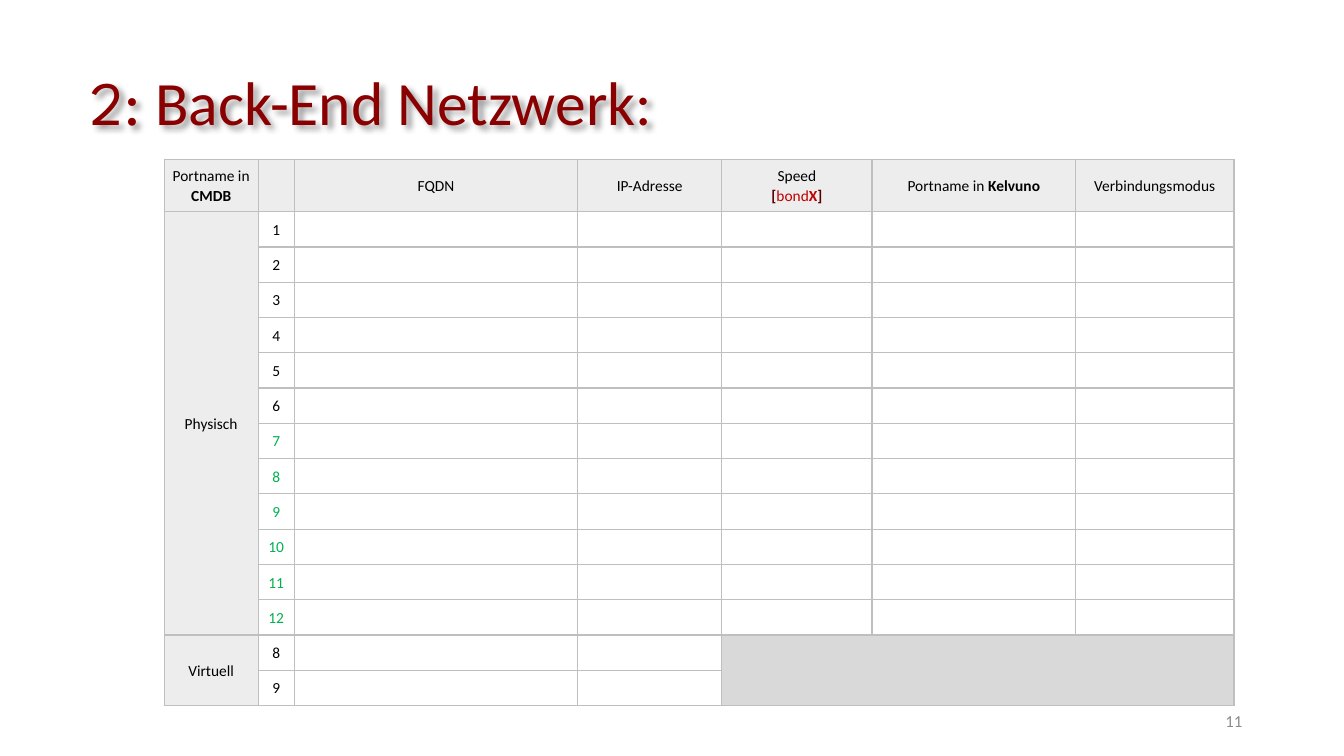
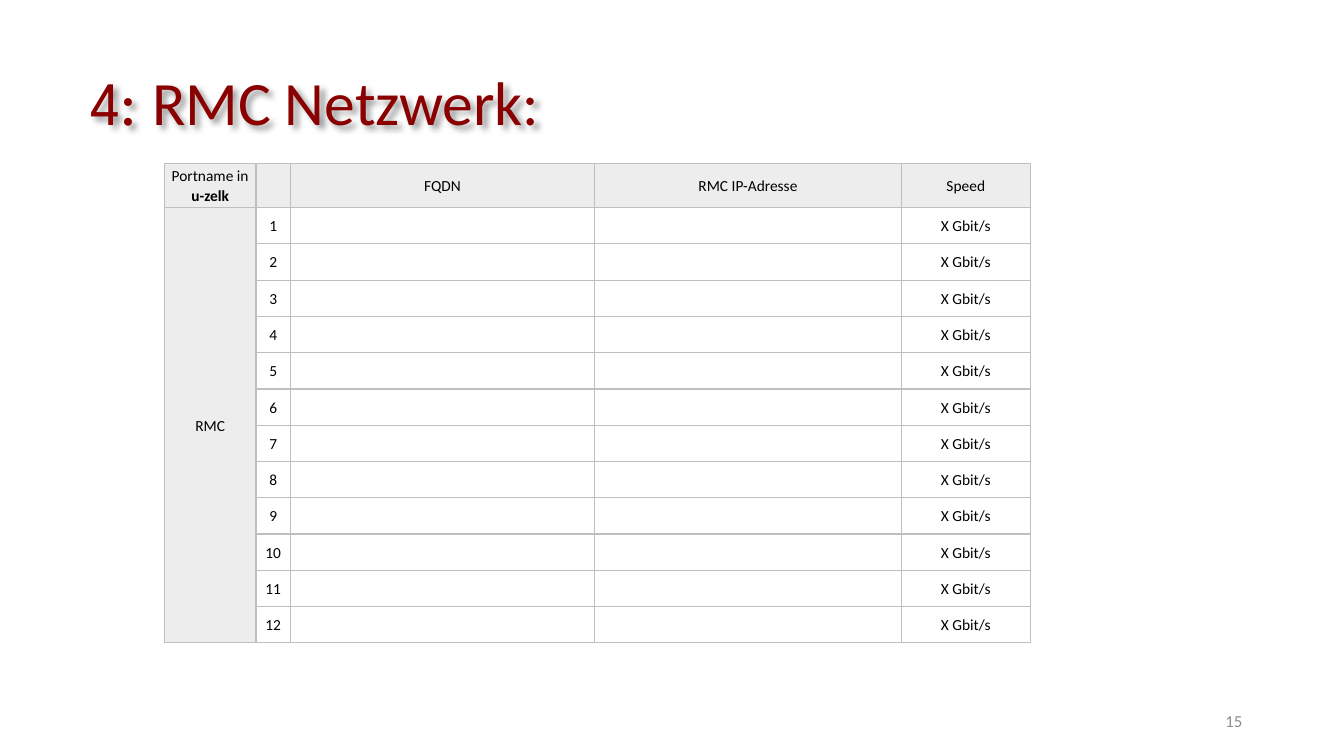
from pptx import Presentation
from pptx.dml.color import RGBColor
from pptx.enum.text import MSO_ANCHOR, PP_ALIGN
from pptx.oxml import parse_xml
from pptx.oxml.ns import nsdecls
from pptx.util import Inches, Pt

LEFT, CENTER, RIGHT = PP_ALIGN.LEFT, PP_ALIGN.CENTER, PP_ALIGN.RIGHT
MIDDLE = MSO_ANCHOR.MIDDLE
TITLE_ONLY = 5

THEME = {
    "title": {"size": 44, "name": "Calibri", "color": "8A0000"},
    "number": {"size": 12, "name": "Calibri", "color": "8C8C8C"},
    "cell": {"size": 11, "name": "Calibri", "color": "000000"},
    "index_font": "League Spartan",
    "head_fill": "EDEDED", "blocked_fill": "D9D9D9", "border": "BFBFBF",
    "border_width": 1, "line_spacing": 1.07,
}
SLIDE_SIZE = (13.33, 7.5)
TITLE_BOX = (0.8, 0.58, 11.77, 0.84)
NUMBER_BOX = (9.42, 6.95, 3, 0.4)
TABLE_LEFT = 1.63

# Content: a cell is a list of paragraphs, a paragraph a list of (text, changes)
BOLD = {"bold": True}
BRACKET = {"bold": True, "color": "540000"}
BOND = {"color": "C00000"}
SPARE = {"color": "00B050"}


def plain(text, **changes):
    return [[(text, changes)]]


SPEED_BOND = [[("Speed", {})],
              [("[", BRACKET), ("bond", BOND), ("X", BOND | BOLD), ("]", BRACKET)]]

NETWORKS = [
    {
        "index": "2: ", "title": "Back-End Netzwerk:", "number": "11",
        "top": 1.58, "head_row": 0.52, "port_row": 0.35,
        "columns": [0.93, 0.36, 2.81, 1.43, 1.49, 2.02, 1.57],
        "head": [[[("Portname in ", {}), ("CMDB", BOLD)]], None, plain("FQDN"),
                 plain("IP-Adresse"), SPEED_BOND,
                 [[("Portname in ", {}), ("Kelvuno", BOLD)]],
                 plain("Verbindungsmodus")],
        "groups": [
            {"name": "Physisch", "ports": range(1, 13), "spare_from": 7},
            {"name": "Virtuell", "ports": range(8, 10), "blocked_from": 4},
        ],
    },
    {
        "index": "4: ", "title": "RMC Netzwerk:", "number": "15",
        "top": 1.62, "head_row": 0.44, "port_row": 0.36,
        "columns": [0.91, 0.34, 3.02, 3.04, 1.28],
        "head": [[[("Portname in ", {}), ("u-zelk", BOLD)]], None, plain("FQDN"),
                 plain("RMC IP-Adresse"), plain("Speed")],
        "groups": [{"name": "RMC", "ports": range(1, 13), "last": "X Gbit/s"}],
    },
]


def write_run(paragraph, text, style):
    run = paragraph.add_run()
    run.text = text
    for attribute, value in style.items():
        if attribute == "color":
            run.font.color.rgb = RGBColor.from_string(value)
        else:
            setattr(run.font, attribute, Pt(value) if attribute == "size" else value)


def place(shape, box):
    for side, length in zip(("left", "top", "width", "height"), box):
        setattr(shape, side, Inches(length))


def add_title(slide, index, text):
    title = slide.shapes.title
    place(title, TITLE_BOX)
    title.text_frame.vertical_anchor = MIDDLE
    paragraph = title.text_frame.paragraphs[0]
    paragraph.alignment = LEFT
    write_run(paragraph, index, THEME["title"] | {"name": THEME["index_font"]})
    write_run(paragraph, text, THEME["title"])
    title._element.spPr.append(parse_xml(
        f'<a:effectLst {nsdecls("a")}><a:outerShdw blurRad="50800" dist="38100" '
        'dir="2700000" algn="tl" rotWithShape="0"><a:prstClr val="black">'
        '<a:alpha val="40000"/></a:prstClr></a:outerShdw></a:effectLst>'))


def add_number(slide, number):
    frame = slide.shapes.add_textbox(*map(Inches, NUMBER_BOX)).text_frame
    frame.word_wrap = True
    frame.vertical_anchor = MIDDLE
    frame.paragraphs[0].alignment = RIGHT
    write_run(frame.paragraphs[0], number, THEME["number"])


def format_cell(cell):
    margins = {"margin_left": 0.07, "margin_right": 0.07,
               "margin_top": 0, "margin_bottom": 0}
    for attribute, value in margins.items():
        setattr(cell, attribute, Inches(value))
    cell.vertical_anchor = MIDDLE
    properties = cell._tc.get_or_add_tcPr()
    for side in "LRTB":
        properties.append(parse_xml(
            f'<a:ln{side} {nsdecls("a")} w="{Pt(THEME["border_width"])}"><a:solidFill>'
            f'<a:srgbClr val="{THEME["border"]}"/></a:solidFill></a:ln{side}>'))
    cell.fill.background()


def shade(cell, color):
    cell.fill.solid()
    cell.fill.fore_color.rgb = RGBColor.from_string(color)


def write_cell(cell, paragraphs):
    frame = cell.text_frame
    for position, runs in enumerate(paragraphs):
        paragraph = frame.add_paragraph() if position else frame.paragraphs[0]
        paragraph.alignment = CENTER
        paragraph.line_spacing = THEME["line_spacing"]
        for text, changes in runs:
            write_run(paragraph, text, THEME["cell"] | changes)


def add_group(table, group, first):
    """Fill the rows of one port group and return the row after it."""
    ports, end = group["ports"], len(table.columns) - 1
    last = first + len(ports) - 1
    name = table.cell(first, 0)
    name.merge(table.cell(last, 0))
    shade(name, THEME["head_fill"])
    write_cell(name, plain(group["name"]))
    for row, port in enumerate(ports, first):
        spare = port >= group.get("spare_from", port + 1)
        write_cell(table.cell(row, 1), plain(str(port), **(SPARE if spare else {})))
        if "last" in group:
            write_cell(table.cell(row, end), plain(group["last"]))
    if "blocked_from" in group:
        blocked = table.cell(first, group["blocked_from"])
        blocked.merge(table.cell(last, end))
        shade(blocked, THEME["blocked_fill"])
    return last + 1


def add_port_table(slide, network):
    columns = network["columns"]
    port_count = sum(len(group["ports"]) for group in network["groups"])
    heights = [network["head_row"]] + [network["port_row"]] * port_count
    box = (TABLE_LEFT, network["top"], sum(columns), sum(heights))
    table = slide.shapes.add_table(len(heights), len(columns), *map(Inches, box)).table
    table.first_row = table.horz_banding = False
    for column, width in zip(table.columns, columns):
        column.width = Inches(width)
    for row, height in zip(table.rows, heights):
        row.height = Inches(height)
    for cell in table.iter_cells():
        format_cell(cell)
    for column, heading in enumerate(network["head"]):
        shade(table.cell(0, column), THEME["head_fill"])
        write_cell(table.cell(0, column), heading or [])
    row = 1
    for group in network["groups"]:
        row = add_group(table, group, row)


def main():
    deck = Presentation()
    deck.slide_width, deck.slide_height = map(Inches, SLIDE_SIZE)
    for network in NETWORKS:
        slide = deck.slides.add_slide(deck.slide_layouts[TITLE_ONLY])
        add_number(slide, network["number"])
        add_title(slide, network["index"], network["title"])
        add_port_table(slide, network)
    deck.save("out.pptx")


if __name__ == "__main__":
    main()
